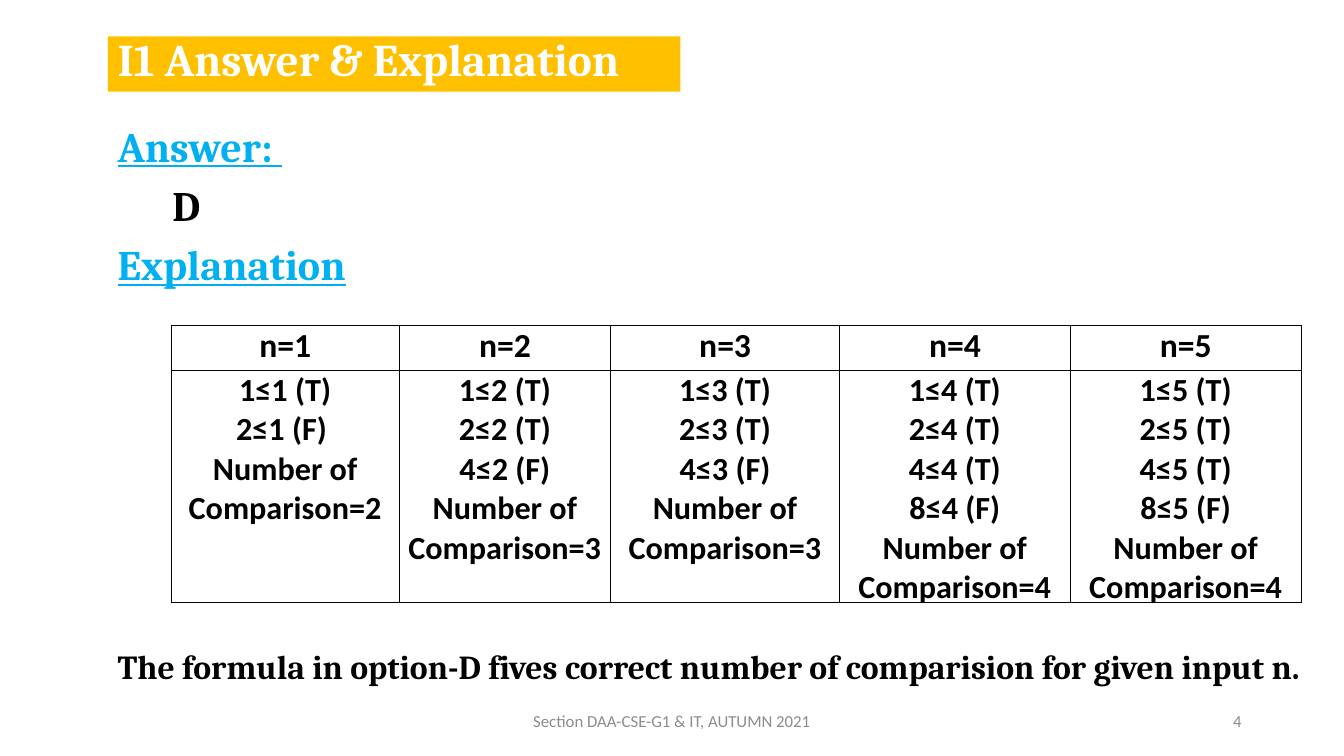
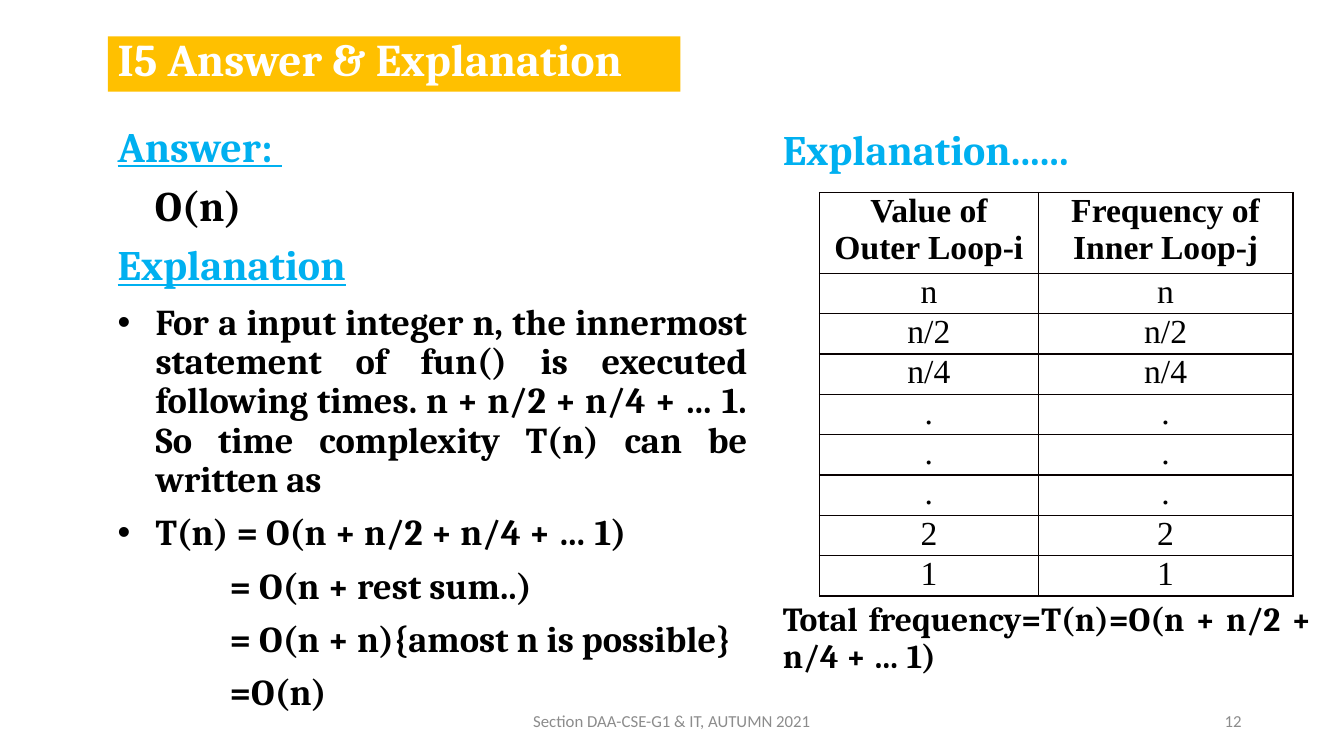
from lxml.etree import SubElement
from pptx import Presentation
from pptx.dml.color import RGBColor
from pptx.enum.shapes import MSO_SHAPE
from pptx.enum.text import MSO_ANCHOR, PP_ALIGN
from pptx.oxml.ns import qn
from pptx.util import Pt

HUE = {"gold": "FFC000", "blue": "00B0F0", "ink": "000000",
       "white": "FFFFFF", "gray": "8C8C8C", "edge": "080000"}
FOOT = "Section DAA-CSE-G1 & IT, AUTUMN 2021"

HEAD = {"name": "Cambria", "size": 30, "bold": True, "hue": "blue"}
LINK = {**HEAD, "underline": True}
REPLY = {**HEAD, "hue": "ink"}
POINT = {**REPLY, "size": 26}
NOTE = {**REPLY, "size": 24}
TITLE = {**HEAD, "size": 32.4, "hue": "white"}
SMALL = {"name": "Calibri", "size": 12, "hue": "gray"}
CALC = {"name": "Calibri", "size": 23, "bold": True, "hue": "ink"}
CALC_TOP = {**CALC, "size": 24}
LOOP = {"name": "Times New Roman", "size": 24, "bold": False, "hue": "ink"}
LOOP_TOP = {**LOOP, "bold": True}

SUM = "Number of Comparison="
STEPS = [
    ["1≤1 (T)", "2≤1 (F) ", SUM + "2"],
    ["1≤2 (T)", "2≤2 (T)", "4≤2 (F)", SUM + "3"],
    ["1≤3 (T)", "2≤3 (T)", "4≤3 (F)", SUM + "3"],
    ["1≤4 (T)", "2≤4 (T)", "4≤4 (T)", "8≤4 (F)", SUM + "4"],
    ["1≤5 (T)", "2≤5 (T)", "4≤5 (T)", "8≤5 (F)", SUM + "4"],
]
LOOPS = ["n", "n/2", "n/4", ".", ".", ".", "2", "1"]

SLIDES = [
    {
        "title": "I1 Answer & Explanation",
        "page": "4",
        "texts": [
            ((77, 86.4, 860, 130), [
                ("Answer: ", LINK, 0, False),
                ("D", REPLY, 39, False),
                ("Explanation", LINK, 0, False)]),
            ((77, 461, 860, 36), [
                ("The formula in option-D fives correct number of comparision "
                 "for given input n.", NOTE, 0, False)]),
        ],
        "table": {
            "at": (122.4, 232.6),
            "cols": [162.7, 151.2, 163.4, 164.9, 164.9],
            "rows": [32, 165.6],
            "cells": [[[f"n={n}"] for n in range(1, 6)], STEPS],
            "looks": (CALC_TOP, CALC),
        },
    },
    {
        "title": "I5 Answer & Explanation",
        "page": "12",
        "texts": [
            ((77, 86.4, 464.4, 432), [
                ("Answer: ", LINK, 0, False),
                ("O(n)", REPLY, 26.5, False),
                ("Explanation", LINK, 0, False),
                ("For a input integer n, the innermost statement of fun() is "
                 "executed following times. n + n/2 + n/4 + … 1. So time "
                 "complexity T(n) can be written as", POINT, 27, True),
                ("T(n) = O(n + n/2 + n/4 + … 1)", POINT, 27, True),
                ("= O(n + rest sum..)", POINT, 80, False),
                ("= O(n + n){amost n is possible}", POINT, 80, False),
                ("=O(n)", POINT, 80, False)]),
            ((552.2, 88.6, 391.7, 42), [
                ("Explanation......", HEAD, 0, False)]),
            ((552.2, 427, 391.7, 62), [
                ("Total frequency=T(n)=O(n + n/2 + n/4 + … 1)",
                 NOTE, 0, False)]),
        ],
        "table": {
            "at": (585.4, 137.5),
            "cols": [156.2, 182],
            "rows": [53.3] + [26.7] * len(LOOPS),
            "cells": [[["Value of Outer Loop-i"],
                       ["Frequency of Inner Loop-j"]]]
                     + [[[x], [x]] for x in LOOPS],
            "looks": (LOOP_TOP, LOOP),
        },
    },
]


def put(obj, **vals):
    for key, val in vals.items():
        setattr(obj, key, val)


def tint(hue):
    return RGBColor.from_string(HUE[hue])


def write(para, text, look, **form):
    put(para, **form)
    run = para.add_run()
    run.text = text
    for key, val in look.items():
        if key == "hue":
            run.font.color.rgb = tint(val)
        else:
            setattr(run.font, key, Pt(val) if key == "size" else val)


def lines(frame, count):
    return [frame.paragraphs[0]] + [frame.add_paragraph()
                                    for _ in range(count - 1)]


def add_box(slide, area, anchor=MSO_ANCHOR.TOP):
    frame = slide.shapes.add_textbox(*map(Pt, area)).text_frame
    put(frame, word_wrap=True, vertical_anchor=anchor)
    return frame


def add_text(slide, area, items):
    frame = add_box(slide, area)
    paras = lines(frame, len(items))
    for i, (para, (text, look, left, dot)) in enumerate(zip(paras, items)):
        props = para._p.get_or_add_pPr()
        props.set("marL", str(Pt(left)))
        props.set("indent", str(Pt(-left if dot else 0)))
        if dot:
            SubElement(props, qn("a:buFont"), typeface="Arial")
            SubElement(props, qn("a:buChar"), char="•")
        write(para, text, look, alignment=PP_ALIGN.JUSTIFY,
              line_spacing=0.9, space_before=Pt(10 if i else 0))


def add_title(slide, text):
    area = map(Pt, (77, 26, 409, 39.5))
    band = slide.shapes.add_shape(MSO_SHAPE.RECTANGLE, *area)
    band.shadow.inherit = False
    band.fill.solid()
    band.fill.fore_color.rgb = tint("gold")
    band.line.fill.background()
    put(band.text_frame, word_wrap=True, vertical_anchor=MSO_ANCHOR.BOTTOM)
    write(band.text_frame.paragraphs[0], text, TITLE,
          alignment=PP_ALIGN.LEFT, line_spacing=0.9)


def add_foot(slide, page):
    for left, width, text, side in (
            (678, 216, page, PP_ALIGN.RIGHT),
            (318, 324, FOOT, PP_ALIGN.CENTER)):
        frame = add_box(slide, (left, 500.5, width, 28.8), MSO_ANCHOR.MIDDLE)
        write(frame.paragraphs[0], text, SMALL, alignment=side)


def edge(cell):
    props = cell._tc.get_or_add_tcPr()
    for side in "LRTB":
        line = SubElement(props, qn("a:ln" + side), w=str(Pt(1)))
        fill = SubElement(line, qn("a:solidFill"))
        SubElement(fill, qn("a:srgbClr"), val=HUE["edge"])


def add_grid(slide, data):
    cols, rows = data["cols"], data["rows"]
    area = map(Pt, (*data["at"], sum(cols), sum(rows)))
    grid = slide.shapes.add_table(len(rows), len(cols), *area).table
    put(grid, first_row=False, horz_banding=False)
    for col, width in zip(grid.columns, cols):
        col.width = Pt(width)
    for r, (row, high) in enumerate(zip(grid.rows, rows)):
        row.height = Pt(high)
        look = data["looks"][min(r, 1)]
        for cell, texts in zip(row.cells, data["cells"][r]):
            put(cell, margin_left=Pt(5), margin_right=Pt(5),
                margin_top=0, margin_bottom=0)
            edge(cell)
            cell.fill.background()
            for para, text in zip(lines(cell.text_frame, len(texts)), texts):
                write(para, text, look, alignment=PP_ALIGN.CENTER)


def main():
    deck = Presentation()
    put(deck, slide_width=Pt(960), slide_height=Pt(540))
    for data in SLIDES:
        slide = deck.slides.add_slide(deck.slide_layouts[6])
        add_title(slide, data["title"])
        for area, items in data["texts"]:
            add_text(slide, area, items)
        add_grid(slide, data["table"])
        add_foot(slide, data["page"])
    deck.save("out.pptx")


if __name__ == "__main__":
    main()
